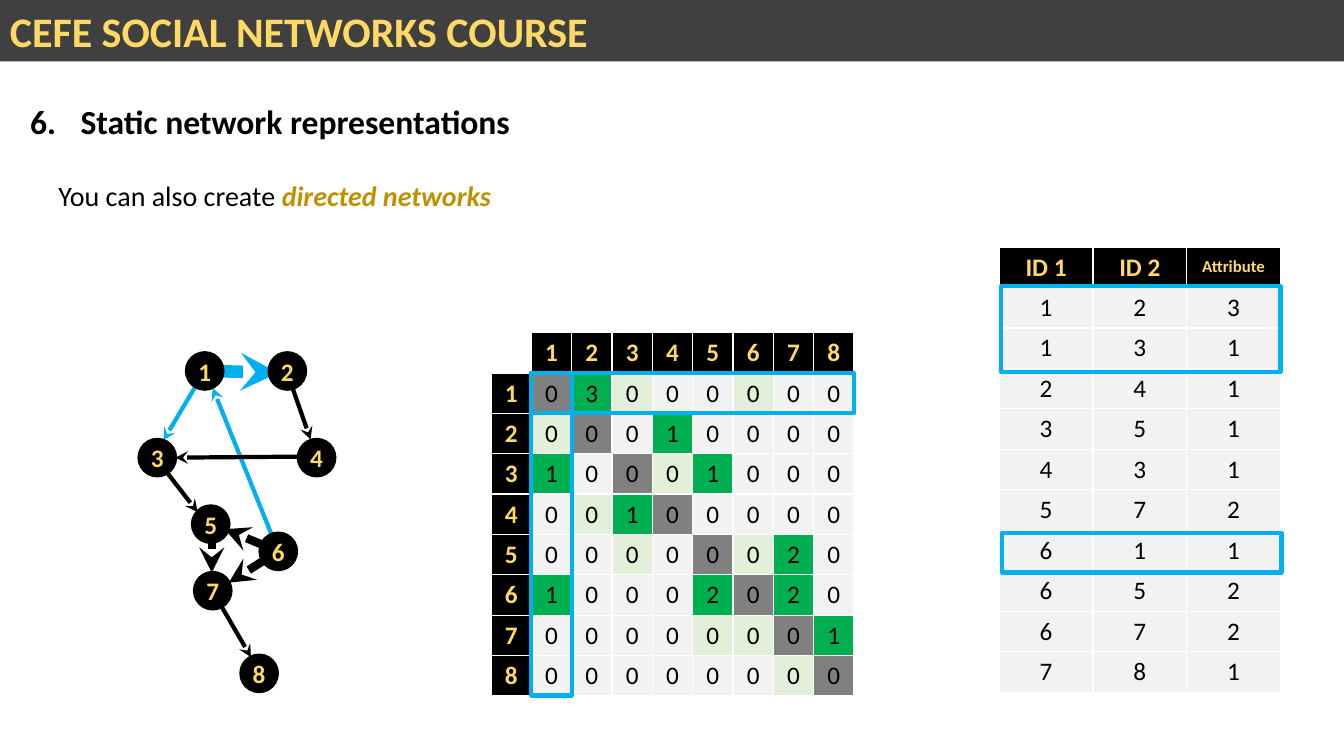
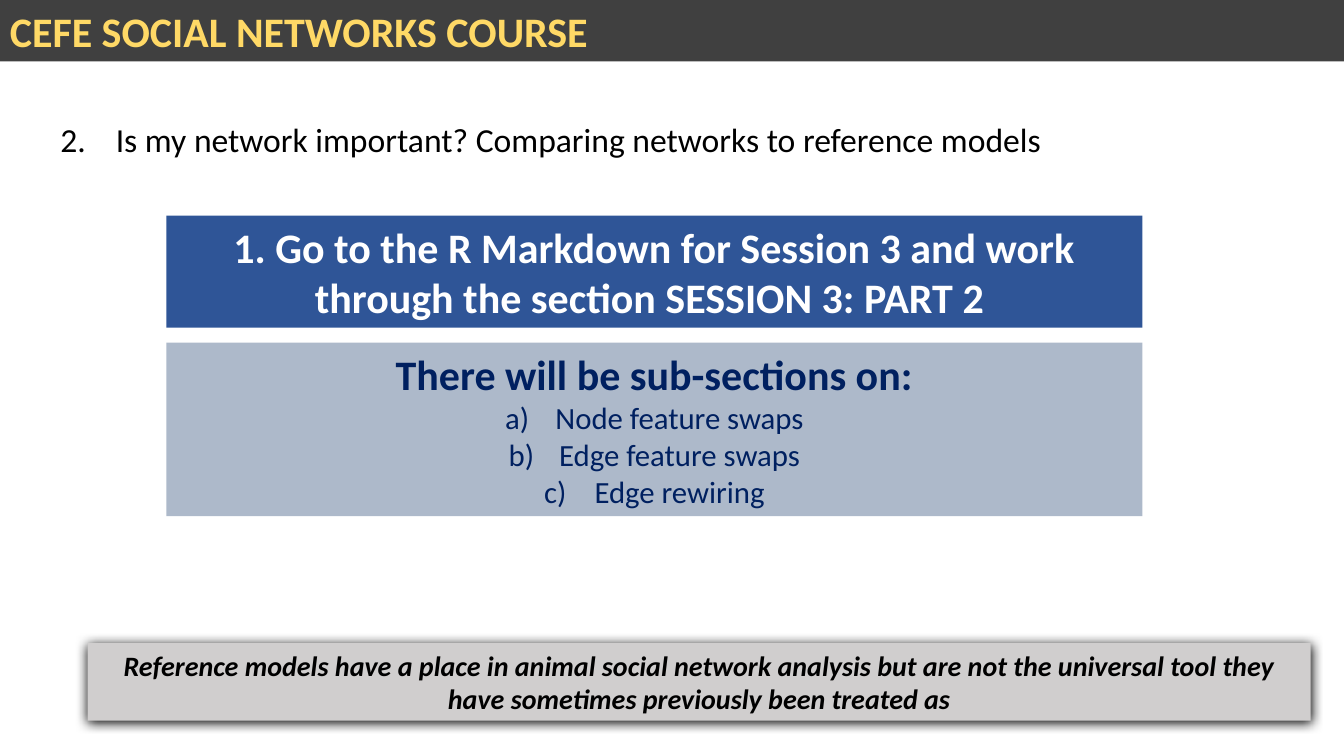
from lxml import etree
from pptx import Presentation
from pptx.dml.color import RGBColor
from pptx.enum.shapes import MSO_CONNECTOR, MSO_SHAPE
from pptx.enum.text import MSO_ANCHOR, PP_ALIGN
from pptx.oxml.ns import qn
from pptx.util import Inches, Pt

RECT, OVAL = MSO_SHAPE.RECTANGLE, MSO_SHAPE.OVAL
STRAIGHT = MSO_CONNECTOR.STRAIGHT
LEFT, CENTER = PP_ALIGN.LEFT, PP_ALIGN.CENTER
TOP, MIDDLE = MSO_ANCHOR.TOP, MSO_ANCHOR.MIDDLE

BLACK = RGBColor(0x00, 0x00, 0x00)
WHITE = RGBColor(0xFF, 0xFF, 0xFF)
DARK = RGBColor(0x40, 0x40, 0x40)
YELLOW = RGBColor(0xFF, 0xD9, 0x66)
GOLD = RGBColor(0xBF, 0x90, 0x00)
SKY = RGBColor(0x00, 0xB0, 0xF0)
GRAY = RGBColor(0x80, 0x80, 0x80)
PALE = RGBColor(0xF2, 0xF2, 0xF2)
GREEN = RGBColor(0x00, 0xB0, 0x50)
MINT = RGBColor(0xE2, 0xF0, 0xD9)
SILVER = RGBColor(0xD0, 0xCE, 0xCE)
BLUE = RGBColor(0x2F, 0x55, 0x97)
STEEL = RGBColor(0xAD, 0xB9, 0xCA)
NAVY = RGBColor(0x00, 0x20, 0x60)

FONT = "Calibri"
NODE = 0.38

NODES = [(1.84, 3.49), (2.66, 3.49), (1.37, 4.35), (2.95, 4.35),
         (1.9, 5.01), (2.57, 5.28), (1.92, 5.67), (2.38, 6.49)]
ARROWS = [((2.03, 3.68), (1.62, 4.37), SKY, 3),
          ((2.76, 5.47), (2.11, 3.85), SKY, 3),
          ((2.11, 3.68), (2.76, 3.7), SKY, 9),
          ((3, 4.53), (1.74, 4.54), BLACK, 3),
          ((2.85, 3.7), (3.08, 4.36), BLACK, 3),
          ((1.55, 4.55), (1.96, 5.08), BLACK, 3),
          ((2.1, 5.25), (2.1, 5.68), BLACK, 6),
          ((2.76, 5.47), (2.23, 5.25), BLACK, 6),
          ((2.76, 5.47), (2.27, 5.78), BLACK, 6),
          ((2.1, 5.85), (2.49, 6.52), BLACK, 3)]
LINKS = {(1, 2): 3, (2, 4): 1, (3, 1): 1, (3, 5): 1, (4, 3): 1,
         (5, 7): 2, (6, 1): 1, (6, 5): 2, (6, 7): 2, (7, 8): 1}
EDGES = [(1, 2, 3), (1, 3, 1), (2, 4, 1), (3, 5, 1), (4, 3, 1),
         (5, 7, 2), (6, 1, 1), (6, 5, 2), (6, 7, 2), (7, 8, 1)]
MARKS = [(5.27, 3.7, 3.2, 0.4), (5.27, 3.7, 0.4, 3.2),
         (9.93, 2.84, 2.77, 0.85), (9.94, 5.29, 2.77, 0.39)]


def style(font, size, color, bold=False, italic=False):
    font.name = FONT
    font.size = Pt(size)
    font.color.rgb = color
    font.bold = bold
    font.italic = italic


def write(para, text, size, color, bold=False, italic=False, align=LEFT):
    para.alignment = align
    style(para.font, size, color, bold, italic)
    para.add_run().text = text


def number(para, kind, start=1, indent=0.5):
    props = para._p.get_or_add_pPr()
    props.set("marL", str(Inches(indent)))
    props.set("indent", str(-Inches(indent)))
    auto = etree.SubElement(props, qn("a:buAutoNum"), type=kind)
    if start > 1:
        auto.set("startAt", str(start))


def add_text(slide, box):
    frame = slide.shapes.add_textbox(*map(Inches, box)).text_frame
    frame.word_wrap = True
    return frame.paragraphs[0]


def add_box(slide, box, fill=None, line=None, width=1, kind=RECT):
    shape = slide.shapes.add_shape(kind, *map(Inches, box))
    shape.shadow.inherit = False
    if fill is None:
        shape.fill.background()
    else:
        shape.fill.solid()
        shape.fill.fore_color.rgb = fill
    if line is None:
        shape.line.fill.background()
    else:
        shape.line.color.rgb = line
        shape.line.width = Pt(width)
    shape.text_frame.word_wrap = True
    shape.text_frame.vertical_anchor = MIDDLE
    return shape


def add_shade(shape):
    effects = shape._element.spPr.find(qn("a:effectLst"))
    shade = etree.SubElement(effects, qn("a:outerShdw"), blurRad=str(Pt(8.5)),
                             dist=str(Pt(1)), dir="5400000", rotWithShape="0")
    etree.SubElement(shade, qn("a:srgbClr"), val=str(BLACK))


def add_arrow(slide, start, end, color, width):
    line = slide.shapes.add_connector(STRAIGHT, *map(Inches, start + end))
    line.line.color.rgb = color
    line.line.width = Pt(width)
    etree.SubElement(line.line._get_or_add_ln(), qn("a:tailEnd"), type="stealth")
    etree.SubElement(line._element.spPr, qn("a:effectLst"))


def add_node(slide, label, place):
    shape = add_box(slide, place + (NODE, NODE), BLACK, BLACK, kind=OVAL)
    frame = shape.text_frame
    frame.word_wrap = False
    frame.margin_left = frame.margin_right = 0
    frame.margin_top = frame.margin_bottom = 0
    write(frame.paragraphs[0], label, 18, YELLOW, True, align=CENTER)


def add_grid(slide, box, rows, cols):
    table = slide.shapes.add_table(rows, cols, *map(Inches, box)).table
    table.horz_banding = False
    for col in table.columns:
        col.width = Inches(box[2] / cols)
    for row in table.rows:
        row.height = Inches(box[3] / rows)
    return table


def fill_cell(cell, text, fill, head=False, size=18):
    cell.fill.solid()
    cell.fill.fore_color.rgb = fill
    cell.vertical_anchor = MIDDLE if size < 18 else TOP
    if text:
        color = YELLOW if head else BLACK
        write(cell.text_frame.paragraphs[0], text, size, color, head, align=CENTER)


def shade_of(row, col):
    if row == col:
        return GRAY
    if (row, col) in LINKS:
        return GREEN
    return MINT if (col, row) in LINKS else PALE


def add_matrix(slide):
    count = len(NODES) + 1
    table = add_grid(slide, (4.87, 3.3, 3.6, 3.6), count, count)
    fill_cell(table.cell(0, 0), "", WHITE)
    for row in range(1, count):
        fill_cell(table.cell(0, row), str(row), BLACK, True)
        fill_cell(table.cell(row, 0), str(row), BLACK, True)
        for col in range(1, count):
            value = LINKS.get((row, col), 0)
            fill_cell(table.cell(row, col), str(value), shade_of(row, col))


def add_edges(slide):
    table = add_grid(slide, (9.91, 2.45, 2.79, 4.42), len(EDGES) + 1, 3)
    heads = [("ID 1", 18), ("ID 2", 18), ("Attribute", 12)]
    for col, (text, size) in enumerate(heads):
        fill_cell(table.cell(0, col), text, BLACK, True, size)
    for row, edge in enumerate(EDGES, 1):
        for col, value in enumerate(edge):
            fill_cell(table.cell(row, col), str(value), PALE)


def add_slide(deck):
    slide = deck.slides.add_slide(deck.slide_layouts[6])
    band = add_box(slide, (0, 0, 13.33, 0.61), DARK)
    write(band.text_frame.paragraphs[0], "CEFE SOCIAL NETWORKS COURSE", 30, YELLOW, True)
    return slide


def build_network(deck):
    slide = add_slide(deck)
    para = add_text(slide, (0.48, 1.72, 12.52, 0.44))
    write(para, "You can also create ", 20, BLACK)
    run = para.add_run()
    run.text = "directed networks"
    style(run.font, 20, GOLD, True, True)
    for arrow in ARROWS:
        add_arrow(slide, *arrow)
    for label, place in enumerate(NODES, 1):
        add_node(slide, str(label), place)
    add_matrix(slide)
    add_edges(slide)
    for box in MARKS:
        add_box(slide, box, line=SKY, width=3)
    para = add_text(slide, (0.2, 0.95, 12.78, 0.91))
    number(para, "arabicPeriod", 6)
    write(para, "Static network representations", 24, BLACK, True)


def build_models(deck):
    slide = add_slide(deck)
    para = add_text(slide, (0.5, 1.13, 10.95, 0.5))
    number(para, "arabicPeriod", 2, 0.55)
    write(para, "Is my network important? Comparing networks to reference models", 24, BLACK)
    note = add_box(slide, (0.87, 6.38, 12.13, 0.77), SILVER)
    add_shade(note)
    write(note.text_frame.paragraphs[0],
          "Reference models have a place in animal social network analysis but are not "
          "the universal tool they have sometimes previously been treated as",
          20, BLACK, True, True, CENTER)
    task = add_box(slide, (1.65, 2.14, 9.68, 1.11), BLUE)
    write(task.text_frame.paragraphs[0],
          "1. Go to the R Markdown for Session 3 and work through the section "
          "SESSION 3: PART 2 ", 30, WHITE, True, align=CENTER)
    frame = add_box(slide, (1.65, 3.4, 9.68, 1.72), STEEL).text_frame
    write(frame.paragraphs[0], "There will be sub-sections on:", 30, NAVY, True, align=CENTER)
    for text in ("Node feature swaps", "Edge feature swaps", "Edge rewiring"):
        para = frame.add_paragraph()
        number(para, "alphaLcParenR")
        write(para, text, 22, NAVY, align=CENTER)


def main():
    deck = Presentation()
    deck.slide_width = Inches(13.33)
    deck.slide_height = Inches(7.5)
    build_network(deck)
    build_models(deck)
    deck.save("out.pptx")


if __name__ == "__main__":
    main()
